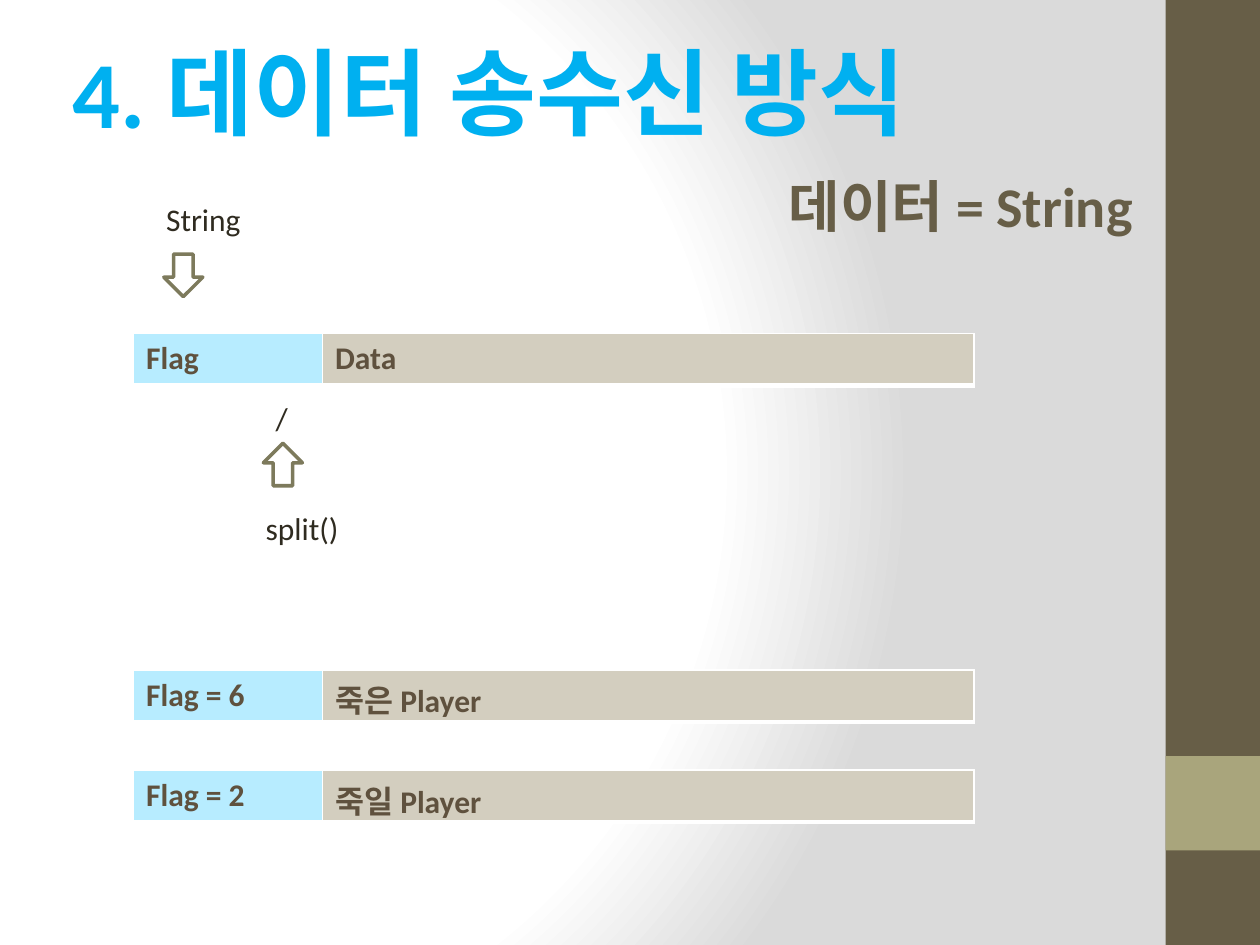
"""Build the slide on how data is sent and received as delimited strings."""
from lxml.etree import SubElement
from pptx import Presentation
from pptx.dml.color import RGBColor
from pptx.enum.shapes import MSO_SHAPE as Preset
from pptx.enum.text import MSO_ANCHOR as Anchor, MSO_AUTO_SIZE as AutoSize, PP_ALIGN as Align
from pptx.oxml import parse_xml
from pptx.oxml.ns import nsdecls, qn
from pptx.util import Inches, Pt

deck = Presentation()
deck.slide_width, deck.slide_height = Inches(10), Inches(7.5)
slide = deck.slides.add_slide(deck.slide_layouts[5])
shapes = slide.shapes


def share(left, top, width, height):
    """Turn percentages of the slide into a position and size."""
    across, down = deck.slide_width / 100, deck.slide_height / 100
    return [int(n) for n in (left * across, top * down, width * across, height * down)]


def paint(target, color):
    """Give a fill or a font one solid colour."""
    if hasattr(target, "solid"):
        target.solid()
        target.fore_color.rgb = RGBColor.from_string(color)
    else:
        target.color.rgb = RGBColor.from_string(color)


paint(slide.background.fill, "FFFFFF")
backdrop = slide.element.find(".//" + qn("p:bgPr"))
stops = "".join(
    f'<a:gs pos="{place * 1000}"><a:srgbClr val="{color}"/></a:gs>'
    for place, color in [(0, "FFFFFF"), (75, "FFFFFF"), (100, "DADADA")]
)
glow = parse_xml(
    f'<a:gradFill {nsdecls("a")} rotWithShape="1"><a:gsLst>{stops}</a:gsLst>'
    '<a:path path="circle"><a:fillToRect l="20000" t="50000" r="100000" b="50000"/>'
    "</a:path></a:gradFill>"
)
backdrop.replace(backdrop.find(qn("a:solidFill")), glow)

for top, height, color in [(0, 100, "675E47"), (80, 10, "A9A57C")]:
    band = shapes.add_shape(Preset.RECTANGLE, *share(92.5, top, 7.5, height))
    band.shadow.inherit = False
    paint(band.fill, color)
    band.line.fill.background()

title = shapes.title
title.left, title.top, title.width, title.height = share(2, 2.9, 73.6, 13.5)
subtitle = shapes.add_textbox(*share(59.2, 17.5, 31.7, 8.5))
for heading, words, size, color, align in [
    (title, "4. 데이터 송수신 방식", 54, "00B0F0", Align.CENTER),
    (subtitle, "데이터 = String", 32, "675E47", Align.RIGHT),
]:
    frame = heading.text_frame
    frame.text = words
    frame.word_wrap = False
    frame.auto_size = AutoSize.SHAPE_TO_FIT_TEXT
    frame.vertical_anchor = Anchor.TOP
    line = frame.paragraphs[0]
    line.alignment = align
    line.font.name, line.font.size, line.font.bold = "Calibri", Pt(size), True
    paint(line.font, color)

for words, left, top, width in [
    ("String", 12.2, 20.5, 17.3),
    ("/", 20.9, 41.6, 17.3),
    ("split()", 20.1, 53.2, 24.4),
]:
    caption = shapes.add_textbox(*share(left, top, width, 5.3)).text_frame
    caption.text = words
    caption.word_wrap = True
    font = caption.paragraphs[0].font
    font.name, font.size = "Calibri", Pt(18)
    paint(font, "2F2B20")

for left, top, turn in [(13, 26.9, 0), (20.9, 46.9, 180)]:
    arrow = shapes.add_shape(Preset.DOWN_ARROW, *share(left, top, 3.1, 4.5))
    arrow.shadow.inherit = False
    arrow.rotation = turn
    arrow.fill.background()
    paint(arrow.line.fill, "7D7A5C")
    arrow.line.width = Pt(2)

for top, flag, data in [
    (35.3, "Flag", "Data"),
    (70.9, "Flag = 6", "죽은 Player"),
    (81.5, "Flag = 2", "죽일 Player"),
]:
    message = shapes.add_table(1, 2, *share(10.6, top, 66.7, 5.5)).table
    message.first_row = message.horz_banding = False
    for part, (words, width, color) in enumerate([(flag, 15, "B7ECFF"), (data, 51.7, "D3CEBF")]):
        message.columns[part].width = share(0, 0, width, 0)[2]
        cell = message.cell(0, part)
        cell.text = words
        font = cell.text_frame.paragraphs[0].font
        font.name, font.size, font.bold = "Calibri", Pt(18), True
        paint(font, "5F513E")
        edges = cell._tc.get_or_add_tcPr()
        for side, points in [("lnL", 1), ("lnR", 1), ("lnT", 1), ("lnB", 3)]:
            edge = SubElement(edges, qn(f"a:{side}"), w=str(Pt(points)))
            SubElement(SubElement(edge, qn("a:solidFill")), qn("a:srgbClr"), val="FFFFFF")
        paint(cell.fill, color)

deck.save("out.pptx")
